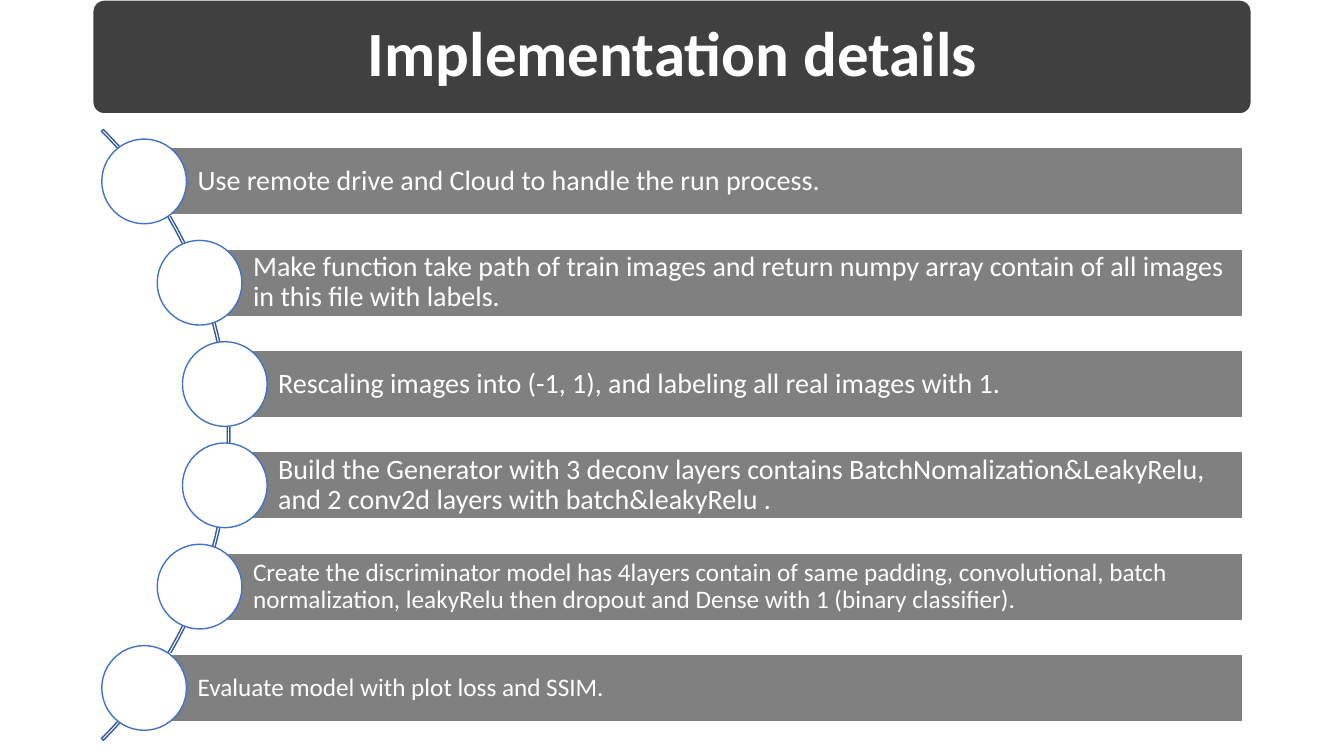
from typing import NamedTuple

from pptx import Presentation
from pptx.dml.color import RGBColor
from pptx.enum.shapes import MSO_SHAPE
from pptx.enum.text import MSO_ANCHOR, MSO_AUTO_SIZE, PP_ALIGN
from pptx.util import Inches, Pt

ROUNDED, ARC = MSO_SHAPE.ROUNDED_RECTANGLE, MSO_SHAPE.BLOCK_ARC
RECTANGLE, OVAL = MSO_SHAPE.RECTANGLE, MSO_SHAPE.OVAL
MIDDLE, NO_AUTOFIT = MSO_ANCHOR.MIDDLE, MSO_AUTO_SIZE.NONE
LEFT, CENTER = PP_ALIGN.LEFT, PP_ALIGN.CENTER

FONT = "Calibri"
WHITE, CHARCOAL, GRAY = "FFFFFF", "404040", "808080"
BLUE, DARK_BLUE = "4472C4", "365B9D"

FIRST_CENTER, STEP_PITCH = 1.8, 1.005
BAR_RIGHT, BAR_HEIGHT, DOT_SIZE = 12.33, 0.67, 0.84


class Step(NamedTuple):
    text: str
    left: float
    size: int
    inset: float


STEPS = [
    Step("Use remote drive and Cloud to handle the run process.", 1.43, 20, 0.06),
    Step("Make function take path of train images and return numpy array "
         "contain of all images in this file with labels.", 1.98, 20, 0.06),
    Step("Rescaling images into (-1, 1), and labeling all real images with 1.",
         2.23, 20, 0.06),
    Step("Build the Generator with 3 deconv layers contains "
         "BatchNomalization&LeakyRelu, and 2 conv2d layers with "
         "batch&leakyRelu .", 2.23, 20, 0.06),
    Step("Create the discriminator model has 4layers contain of same padding, "
         "convolutional, batch normalization, leakyRelu then dropout and Dense "
         "with 1 (binary classifier).", 1.98, 18, 0.05),
    Step("Evaluate model with plot loss and SSIM.", 1.43, 18, 0.05),
]


def color(hex_code: str) -> RGBColor:
    return RGBColor.from_string(hex_code)


def add_outlined(slide, kind, left: float, top: float, width: float,
                 height: float, fill: str, line: str):
    shape = slide.shapes.add_shape(
        kind, Inches(left), Inches(top), Inches(width), Inches(height))
    shape.shadow.inherit = False
    shape.fill.solid()
    shape.fill.fore_color.rgb = color(fill)
    shape.line.color.rgb = color(line)
    shape.line.width = Pt(1)
    return shape


def write_text(shape, text: str, size: int, align, left_inset: float,
               inset: float, bold: bool = False) -> None:
    frame = shape.text_frame
    frame.text = text
    frame_format = {
        "word_wrap": True, "auto_size": NO_AUTOFIT, "vertical_anchor": MIDDLE,
        "margin_left": Inches(left_inset), "margin_right": Inches(inset),
        "margin_top": Inches(inset), "margin_bottom": Inches(inset),
    }
    for name, value in frame_format.items():
        setattr(frame, name, value)
    paragraph = frame.paragraphs[0]
    paragraph.alignment = align
    paragraph.line_spacing = 0.9
    font = paragraph.runs[0].font
    for name, value in {"name": FONT, "size": Pt(size), "bold": bold}.items():
        setattr(font, name, value)
    font.color.rgb = color(WHITE)


def add_heading(slide) -> None:
    banner = add_outlined(slide, ROUNDED, 0.92, 0, 11.49, 1.13, CHARCOAL, WHITE)
    banner.adjustments[0] = 0.1
    heading = slide.shapes.title
    place = {"left": 0.96, "top": 0.03, "width": 11.42, "height": 1.06}
    for name, value in place.items():
        setattr(heading, name, Inches(value))
    write_text(heading, "Implementation details", 45, CENTER, 0.19, 0.19, True)
    # Bring the heading in front of its banner
    banner._element.addnext(heading._element)


def add_step(slide, step: Step, center: float) -> None:
    bar = add_outlined(slide, RECTANGLE, step.left, center - BAR_HEIGHT / 2,
                       BAR_RIGHT - step.left, BAR_HEIGHT, GRAY, WHITE)
    write_text(bar, step.text, step.size, LEFT, 0.53, step.inset)
    add_outlined(slide, OVAL, step.left - DOT_SIZE / 2, center - DOT_SIZE / 2,
                 DOT_SIZE, DOT_SIZE, WHITE, BLUE)


def main() -> None:
    deck = Presentation()
    deck.slide_width, deck.slide_height = Inches(13.33), Inches(7.5)
    slide = deck.slides.add_slide(deck.slide_layouts[5])

    # Heading
    add_heading(slide)

    # Curve behind the steps
    curve = add_outlined(slide, ARC, -6.29, 0.03, 8.57, 8.57, WHITE, DARK_BLUE)
    for index, value in enumerate((189, 27, 0.003)):
        curve.adjustments[index] = value

    # Steps along the curve
    for index, step in enumerate(STEPS):
        add_step(slide, step, FIRST_CENTER + index * STEP_PITCH)

    deck.save("out.pptx")


if __name__ == "__main__":
    main()
